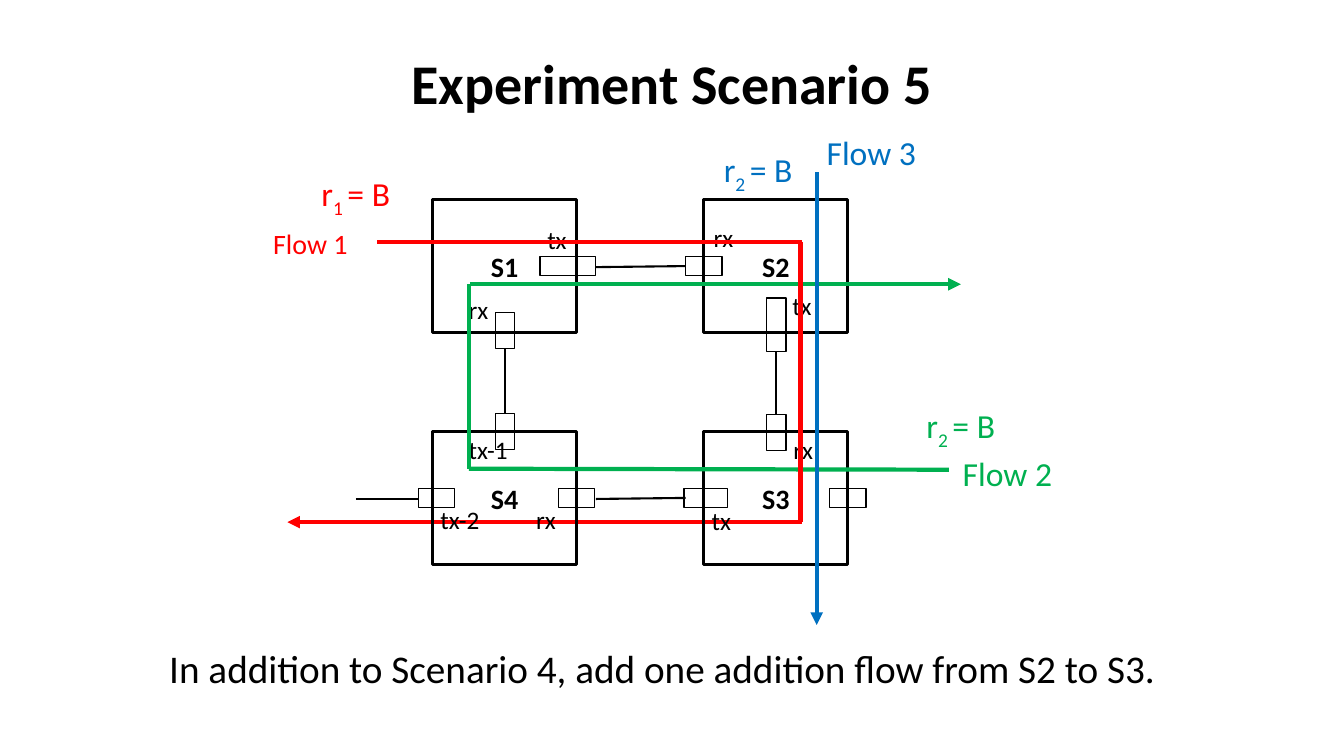
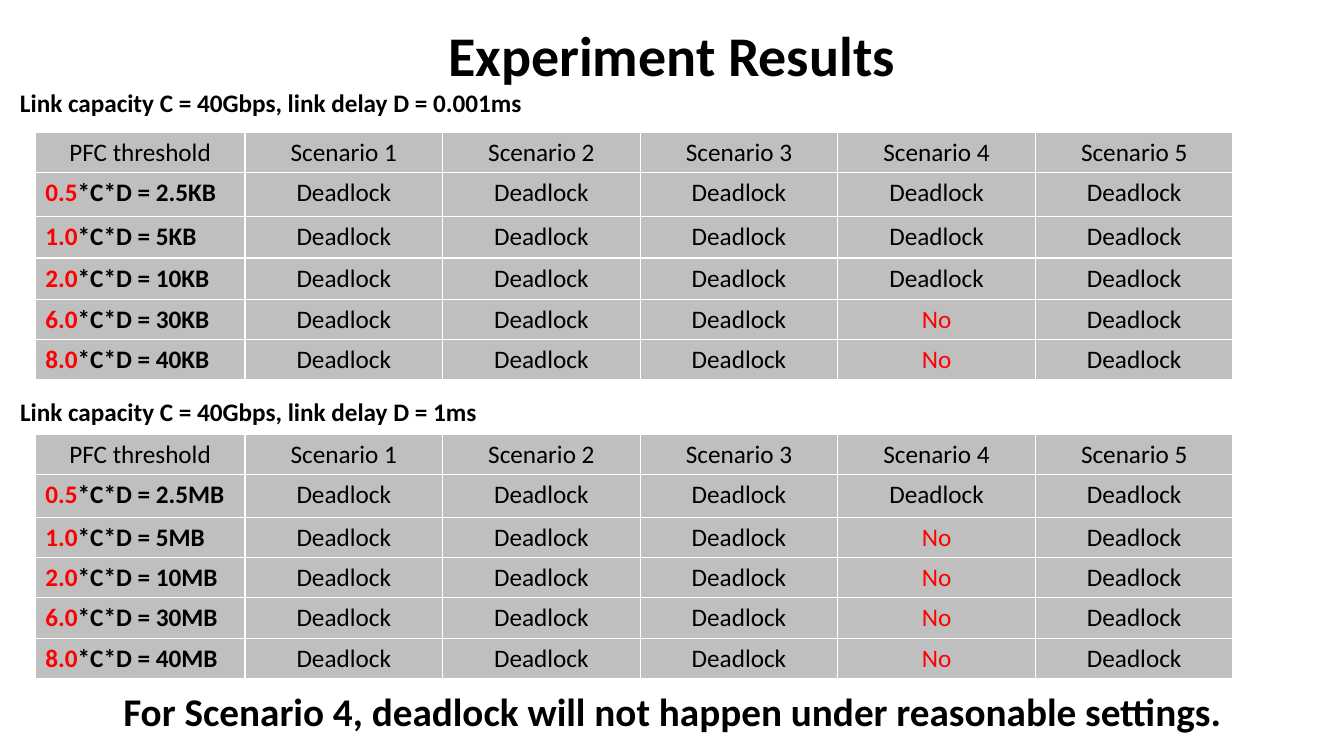
from dataclasses import dataclass
from lxml import etree
from pptx import Presentation
from pptx.dml.color import RGBColor
from pptx.enum import shapes as es, text as et
from pptx.oxml.ns import qn
from pptx.util import Inches, Pt


@dataclass(frozen=True)
class Theme:
    font: str = "Calibri"
    black: str = "000000"
    white: str = "FFFFFF"
    red: str = "FF0000"
    green: str = "00B050"
    blue: str = "0070C0"
    gray: str = "BFBFBF"
    title: int = 40
    note: int = 28
    flow: int = 24
    node: int = 20
    small: int = 18


T = Theme()

# Content: network diagram
NODES = [("S1", 0, 0), ("S2", 1, 0), ("S3", 1, 1), ("S4", 0, 1)]
NODE_X, NODE_Y, NODE_W, NODE_H = (4.29, 6.98), (1.98, 4.28), 1.43, 1.32
PORT = 0.19
# Ports: centre x, centre y, length, upright
PORTS = [
    (5.63, 2.64, 0.55, False), (6.98, 2.64, 0.36, False),
    (7.7, 3.22, 0.53, True), (7.7, 4.29, 0.36, True),
    (5.01, 3.28, 0.36, True), (5.01, 4.28, 0.36, True),
    (7.0, 4.94, 0.43, False), (5.72, 4.94, 0.36, False),
    (4.33, 4.94, 0.36, False), (8.41, 4.94, 0.36, False),
]
LINKS = [
    (5.91, 2.65, 6.8, 2.64), (5.91, 4.95, 6.8, 4.94),
    (7.7, 4.11, 7.7, 3.49), (5.01, 4.1, 5.01, 3.46), (3.53, 4.95, 4.15, 4.95),
]
PORT_TAGS = [
    ("rx", 4.55, 2.87, 0.4), ("tx", 5.33, 2.18, 0.39), ("rx", 6.98, 2.16, 0.4),
    ("rx", 7.77, 4.26, 0.4), ("rx", 5.22, 4.95, 0.4), ("tx", 7.76, 2.83, 0.39),
    ("tx-1", 4.55, 4.26, 0.6), ("tx", 6.96, 4.96, 0.39), ("tx-2", 4.27, 4.95, 0.6),
]
# Flow parts: colour, ends, arrowhead
RETURN = (T.red, (7.95, 5.18, 2.85, 5.18), True)
FLOWS = [
    (T.green, (4.66, 2.82, 9.53, 2.82), True),
    (T.green, (9.41, 4.66, 4.65, 4.65), False),
    (T.green, (4.65, 2.82, 4.65, 4.65), False),
    (T.red, (3.74, 2.4, 7.95, 2.4), False),
    (T.red, (7.94, 2.4, 7.94, 5.18), False),
    (T.blue, (8.1, 1.71, 8.1, 6.2), True),
]
FLOW_TAGS = [
    ("Flow 1", 2.61, 2.2, 0.95, T.node, T.red),
    ("Flow 2", 9.45, 4.44, 1.09, T.flow, T.green),
    ("Flow 3", 8.1, 1.26, 1.09, T.flow, T.blue),
]
RATES = [("1 ", 3.09, 1.67, T.red), ("2 ", 9.09, 3.97, T.green), ("2 ", 7.08, 1.43, T.blue)]

# Content: result tables
HEAD = ["PFC threshold"] + [f"Scenario {n}" for n in range(1, 6)]
FACTORS = ["0.5", "1.0", "2.0", "6.0", "8.0"]
SIZES = ["2.5", "5", "10", "30", "40"]
COLS = [2.08] + [1.96] * 5
# Delay, caption top, table top, unit, first row free of deadlock, row heights
RESULTS = [
    ("0.001ms", 0.82, 1.31, "KB", 4, 5.23, [0.39, 0.44, 0.41, 0.41, 0.39, 0.39]),
    ("1ms", 3.88, 4.31, "MB", 2, 4.78, [0.38, 0.42, 0.39, 0.4, 0.38, 0.38]),
]
MID = et.PP_ALIGN.CENTER


# Shared helpers
def rgb(hue):
    return RGBColor.from_string(hue)


def style(run, size, hue=T.black, bold=False):
    run.font.name, run.font.size, run.font.bold = T.font, Pt(size), bold
    run.font.color.rgb = rgb(hue)


def write(frame, parts, size, align=None):
    """Fill the first paragraph with (text, colour, bold) parts."""
    para = frame.paragraphs[0]
    para.alignment = align
    for words, hue, bold in parts:
        run = para.add_run()
        run.text = words
        style(run, size, hue, bold)
    return para


def place(shape, x, y, w, h):
    shape.left, shape.top, shape.width, shape.height = map(Inches, (x, y, w, h))


def page(name, top):
    slide = deck.slides.add_slide(deck.slide_layouts[5])
    place(slide.shapes.title, 0.35, top, 12.62, 0.77)
    write(slide.shapes.title.text_frame, [(name, T.black, True)], T.title, MID)
    return slide


def label(slide, parts, x, y, w, h, size, align=None, wrap=False):
    frame = slide.shapes.add_textbox(*map(Inches, (x, y, w, h))).text_frame
    frame.word_wrap = wrap
    frame.auto_size = et.MSO_AUTO_SIZE.SHAPE_TO_FIT_TEXT
    return write(frame, parts, size, align)


def box(slide, x, y, w, h, weight):
    shape = slide.shapes.add_shape(es.MSO_SHAPE.RECTANGLE, *map(Inches, (x, y, w, h)))
    shape.shadow.inherit = False
    shape.fill.background()
    shape.line.color.rgb, shape.line.width = rgb(T.black), Pt(weight)
    return shape


def line(slide, ends, hue, weight, arrow=False):
    link = slide.shapes.add_connector(es.MSO_CONNECTOR.STRAIGHT, *map(Inches, ends))
    link.line.color.rgb, link.line.width = rgb(hue), Pt(weight)
    props = link.line._get_or_add_ln()
    if arrow:
        etree.SubElement(props, qn("a:tailEnd")).set("type", "triangle")
    etree.SubElement(props.getparent(), qn("a:effectLst"))


def fill_cell(cell, parts, align):
    write(cell.text_frame, parts, T.small, align)
    props = cell._tc.get_or_add_tcPr()
    for side in ("a:lnL", "a:lnR", "a:lnT", "a:lnB"):
        edge = etree.SubElement(props, qn(side), w=str(Pt(1)))
        solid = etree.SubElement(edge, qn("a:solidFill"))
        etree.SubElement(solid, qn("a:srgbClr"), val=T.white)
    cell.fill.solid()
    cell.fill.fore_color.rgb = rgb(T.gray)


deck = Presentation()
deck.slide_width, deck.slide_height = Inches(13.33), Inches(7.5)

# Slide 1: switches, ports, links and flows
net = page("Experiment Scenario 5", 0.43)
line(net, RETURN[1], RETURN[0], 3, RETURN[2])
for name, col, row in NODES:
    node = box(net, NODE_X[col], NODE_Y[row], NODE_W, NODE_H, 2.25)
    node.text_frame.vertical_anchor = et.MSO_ANCHOR.MIDDLE
    write(node.text_frame, [(name, T.black, True)], T.node, MID)
for x, y, size, upright in PORTS:
    w, h = (PORT, size) if upright else (size, PORT)
    box(net, x - w / 2, y - h / 2, w, h, 1)
for words, x, y, w in PORT_TAGS:
    label(net, [(words, T.black, False)], x, y, w, 0.4, T.small)
for hue, ends, arrow in FLOWS:
    line(net, ends, hue, 3, arrow)
for ends in LINKS:
    line(net, ends, T.black, 1.5)
for words, x, y, w, size, hue in FLOW_TAGS:
    label(net, [(words, hue, False)], x, y, w, 0.5 if size == T.flow else 0.44, size)
for index, x, y, hue in RATES:
    parts = [(words, hue, False) for words in ("r", index, "= B")]
    rate = label(net, parts, x, y, 0.91, 0.5, T.flow)
    rate.runs[1].font._element.set("baseline", "-25000")
label(net, [("In addition to Scenario 4, add one addition flow from S2 to S3.", T.black, False)],
      1.58, 6.34, 10.18, 0.57, T.note, wrap=True)

# Slide 2: one table per link delay
res = page("Experiment Results", 0.15)
for delay, cap, top, unit, free, wide, heights in RESULTS:
    words = f"Link capacity C = 40Gbps, link delay D = {delay}"
    label(res, [(words, T.black, True)], 0.1, cap, wide, 0.4, T.small)
    grid = res.shapes.add_table(len(heights), len(COLS), *map(
        Inches, (0.35, top, sum(COLS), sum(heights)))).table
    for col, w in zip(grid.columns, COLS):
        col.width = Inches(w)
    for row, h in zip(grid.rows, heights):
        row.height = Inches(h)
    for c, words in enumerate(HEAD):
        fill_cell(grid.cell(0, c), [(words, T.black, False)], MID)
    for r, (factor, size) in enumerate(zip(FACTORS, SIZES), 1):
        parts = [(factor, T.red, True), (f"*C*D = {size}{unit}", T.black, True)]
        fill_cell(grid.cell(r, 0), parts, None)
        for c in range(1, len(COLS)):
            safe = c == 4 and r >= free
            part = ("No", T.red, False) if safe else ("Deadlock", T.black, False)
            fill_cell(grid.cell(r, c), [part], MID)
label(res, [("For Scenario 4, deadlock will not happen under reasonable settings.", T.black, True)],
      0.92, 6.77, 11.49, 0.57, T.note, MID, True)

deck.save("out.pptx")
